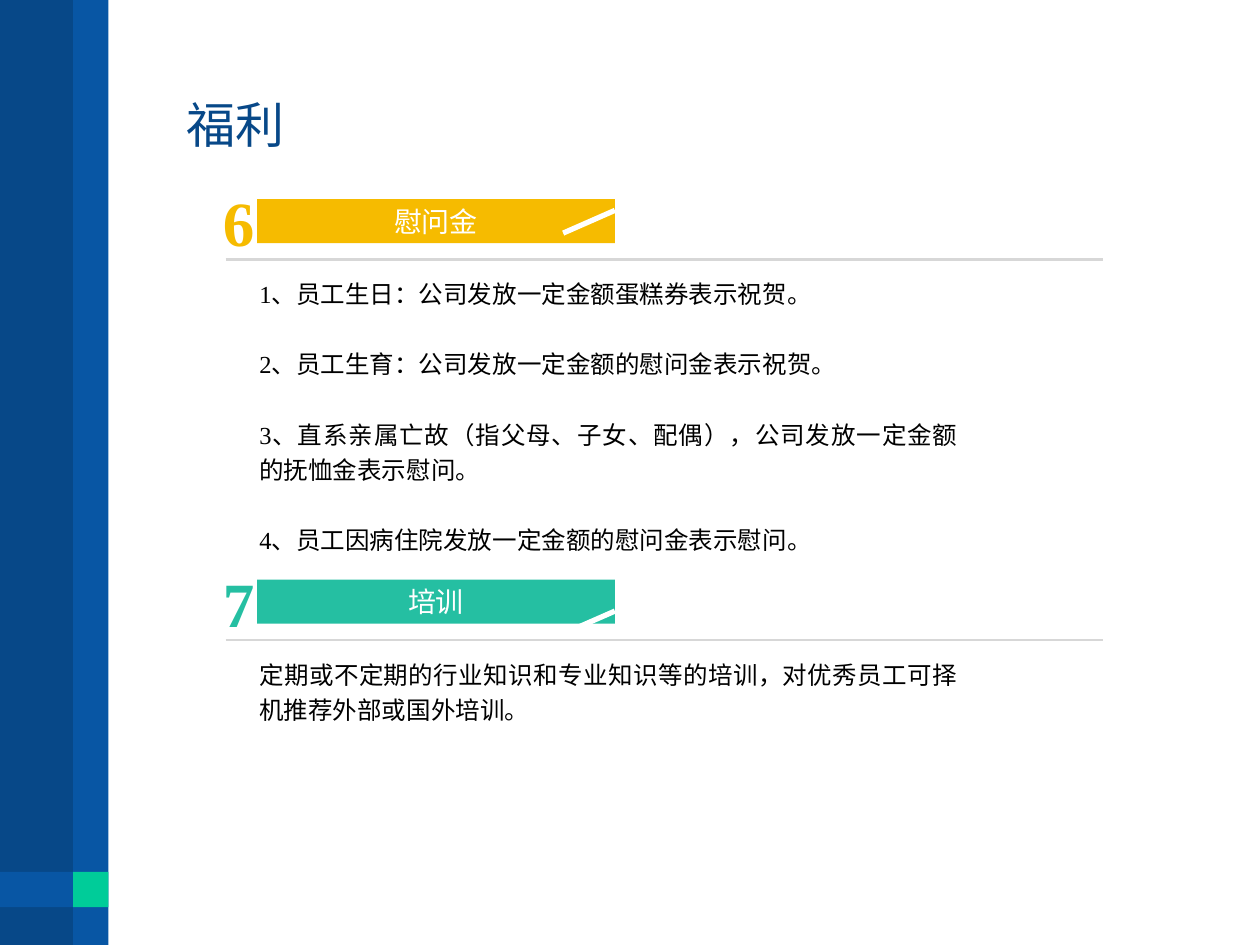
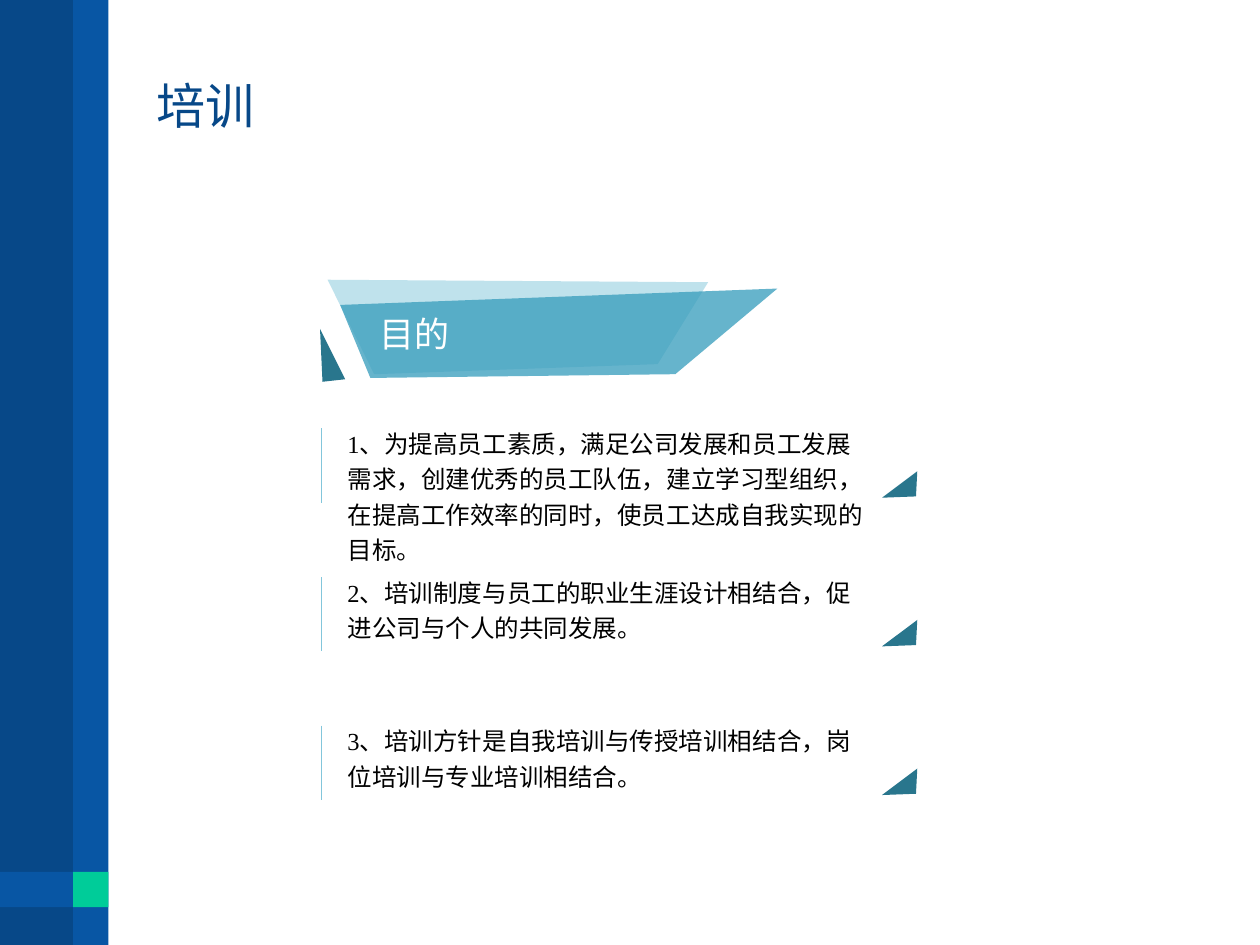
from lxml import etree
from pptx import Presentation
from pptx import util as u
from pptx.dml.color import RGBColor
from pptx.enum import lang, shapes, text
from pptx.oxml.ns import qn

# The grid has 10 columns and 7.5 rows of one inch; all lengths count in them.
COLUMNS, ROWS = 10, 7.5
NAVY, BLUE, MINT = "074888", "0856A4", "00CC99"
WHITE, BLACK, RULE = "FFFFFF", "000000", "D7D7D7"
AMBER, GREEN = "F6BB00", "25BFA2"
TEAL, PALE, SEA, SKY = "29768D", "ACD9E7", "379DBC", "83C6DB"
LATIN, CHINESE = "Times New Roman", "Noto Sans CJK SC"
LEFT, CENTER, JUSTIFY = text.PP_ALIGN.LEFT, text.PP_ALIGN.CENTER, text.PP_ALIGN.JUSTIFY
TOP, MIDDLE = text.MSO_ANCHOR.TOP, text.MSO_ANCHOR.MIDDLE


def color(value):
    return RGBColor.from_string(value)


def grid(*lengths):
    return [u.Inches(length) for length in lengths]


def write(shape, content, size=14, fill=BLACK, font=LATIN, bold=False, align=LEFT,
          anchor=TOP, spacing=None, before=0, insets=(0.1, 0.05, 0.1, 0.05), wrap=True):
    """Set the text of a shape; each line of content becomes a paragraph."""
    frame = shape.text_frame
    frame.text = content
    frame.auto_size = text.MSO_AUTO_SIZE.NONE
    frame.word_wrap = wrap
    frame.vertical_anchor = anchor
    frame.margin_left, frame.margin_top, frame.margin_right, frame.margin_bottom = grid(*insets)
    for index, para in enumerate(frame.paragraphs):
        para.alignment = align
        para.line_spacing = spacing
        para.space_before = u.Pt(before if index else 0)
        for span in para.runs:
            span.font.size = u.Pt(size)
            span.font.bold = bold
            span.font.name = font
            span.font.color.rgb = color(fill)
            span.font.language_id = lang.MSO_LANGUAGE_ID.SIMPLIFIED_CHINESE
            latin = span.font._element.find(qn("a:latin"))
            east_asian = etree.Element(qn("a:ea"), typeface=CHINESE)
            latin.addnext(east_asian)


def paint(shape, fill, opacity=100):
    shape.shadow.inherit = False
    shape.line.fill.background()
    shape.fill.solid()
    shape.fill.fore_color.rgb = color(fill)
    if opacity < 100:
        tone = shape.fill._xPr.find(qn("a:solidFill"))[0]
        etree.SubElement(tone, qn("a:alpha"), val=str(opacity * 1000))


def add_block(page, place, fill):
    block = page.shapes.add_shape(shapes.MSO_SHAPE.RECTANGLE, *grid(*place))
    paint(block, fill)
    return block


def add_polygon(page, points, fill, opacity=100):
    start, *others = [tuple(grid(*point)) for point in points]
    builder = page.shapes.build_freeform(*start)
    builder.add_line_segments(others)
    polygon = builder.convert_to_shape()
    paint(polygon, fill, opacity)
    return polygon


def add_line(page, ends, fill, width):
    line = page.shapes.add_connector(shapes.MSO_CONNECTOR.STRAIGHT, *grid(*ends))
    line.line.color.rgb = color(fill)
    line.line.width = u.Pt(width)
    etree.SubElement(line.element.spPr, qn("a:effectLst"))


def add_text(page, place, content, **style):
    write(page.shapes.add_textbox(*grid(*place)), content, **style)


def add_bands(page):
    """Draw the side bands and hand them to the layout that all slides share."""
    shared = page.slide_layout.shapes.element
    for place, fill in (
        ((0, 0, 0.83, ROWS), NAVY),
        ((0.58, 0, 0.28, ROWS), BLUE),
        ((0, 6.92, 0.83, 0.28), BLUE),
        ((0.58, 6.92, 0.28, 0.28), MINT),
    ):
        shared.append(add_block(page, place, fill).element)


def add_page(deck, title, left, top):
    page = deck.slides.add_slide(deck.slide_layouts[5])
    box = page.shapes.title
    box.left, box.top, box.width, box.height = grid(left, top, COLUMNS - left, 1.25)
    write(box, title, size=28, fill=NAVY, font=CHINESE, anchor=MIDDLE)
    return page


def add_section(page, top, number, heading, body, fill, stroke_drop, body_height):
    """Add a numbered heading bar with a slanted stroke, a rule and its text."""
    add_text(page, (1.67, top - 0.17, 0.45, 0.7), number, size=36, fill=fill,
             bold=True, wrap=False)
    bar = add_block(page, (2.04, top, 2.84, 0.35), fill)
    write(bar, heading, size=16, fill=WHITE, align=CENTER, anchor=MIDDLE,
          insets=(0, 0, 0, 0))
    stroke_top = top + stroke_drop
    add_line(page, (4.88, stroke_top, 4.47, stroke_top + 0.18), WHITE, 3)
    add_text(page, (1.96, top + 0.54, 5.74, body_height), body, align=JUSTIFY,
             spacing=1.2, before=20)
    add_line(page, (1.79, top + 0.48, 8.75, top + 0.48), RULE, 1.5)


def add_goal(page, top, content, height):
    """Add a text with a thin line on its left and a corner on its right."""
    add_text(page, (2.66, top, 4.34, height), content, spacing=1.2)
    corner = [(7.27, top + 0.63), (7, top + 0.64), (7.28, top + 0.43)]
    add_polygon(page, corner, TEAL)
    add_line(page, (2.55, top + 0.09, 2.55, top + 0.68), SKY, 0.5)


def add_banner(page, heading):
    add_polygon(page, [(2.54, 2.61), (2.56, 3.03), (2.74, 3.01)], TEAL)
    add_polygon(page, [(2.6, 2.22), (5.62, 2.24), (5.22, 2.89), (2.97, 2.97)], PALE, 76)
    front = add_polygon(page, [(2.7, 2.42), (6.17, 2.29), (5.36, 2.97), (2.94, 3)], SEA, 76)
    write(front, heading, size=20, fill=WHITE, anchor=MIDDLE,
          insets=(0.31, 0.05, 0.1, 0.05))


def build_benefits(deck):
    page = add_page(deck, "福利", 1.38, 0.36)
    add_bands(page)
    gifts = "\n".join((
        "1、员工生日：公司发放一定金额蛋糕券表示祝贺。",
        "2、员工生育：公司发放一定金额的慰问金表示祝贺。",
        "3、直系亲属亡故（指父母、子女、配偶），公司发放一定金额的抚恤金表示慰问。",
        "4、员工因病住院发放一定金额的慰问金表示慰问。",
    ))
    courses = "定期或不定期的行业知识和专业知识等的培训，对优秀员工可择机推荐外部或国外培训。"
    add_section(page, 1.58, "6", "慰问金", gifts, AMBER, 0.09, 2.34)
    add_section(page, 4.6, "7", "培训", courses, GREEN, 0.25, 0.66)


def build_training(deck):
    page = add_page(deck, "培训", 1.14, 0.21)
    goals = (
        ("1、为提高员工素质，满足公司发展和员工发展需求，创建优秀的员工队伍，"
         "建立学习型组织，在提高工作效率的同时，使员工达成自我实现的目标。", 1.22),
        ("2、培训制度与员工的职业生涯设计相结合，促进公司与个人的共同发展。", 0.66),
        ("3、培训方针是自我培训与传授培训相结合，岗位培训与专业培训相结合。", 0.66),
    )
    for index, (content, height) in enumerate(goals):
        add_goal(page, 3.31 + 1.18 * index, content, height)
    add_banner(page, "目的")


def main():
    deck = Presentation()
    deck.slide_width, deck.slide_height = grid(COLUMNS, ROWS)
    build_benefits(deck)
    build_training(deck)
    deck.save("out.pptx")


if __name__ == "__main__":
    main()
